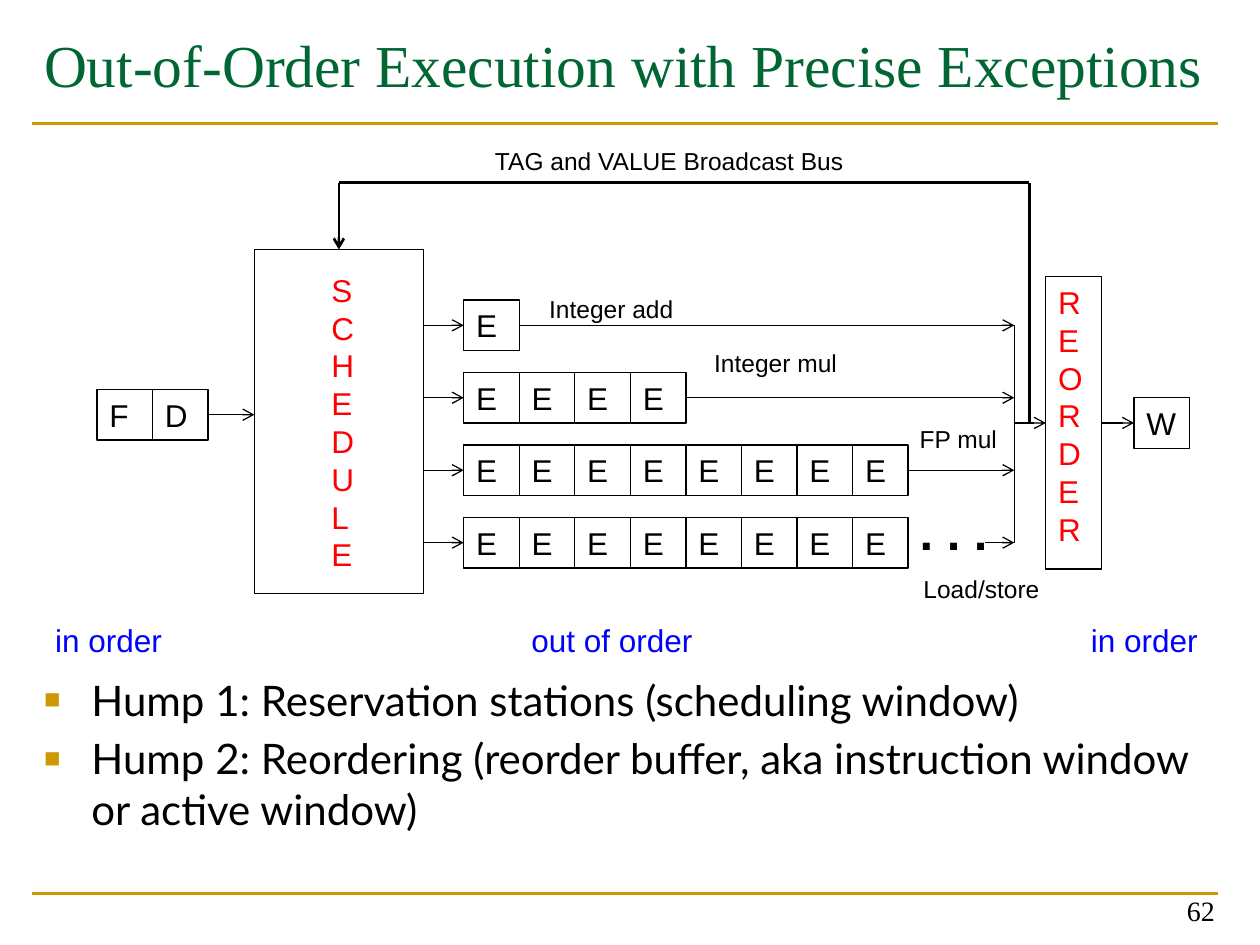
from dataclasses import dataclass
from typing import NamedTuple

from lxml.etree import SubElement
from pptx import Presentation
from pptx.dml.color import RGBColor
from pptx.enum.shapes import MSO_CONNECTOR, MSO_SHAPE
from pptx.enum.text import MSO_ANCHOR, MSO_AUTO_SIZE, PP_ALIGN
from pptx.oxml.ns import qn
from pptx.util import Pt


@dataclass(frozen=True)
class Theme:
    """Colours, fonts and type sizes."""
    black: str = "000000"
    white: str = "FFFFFF"
    gold: str = "CC9900"
    green: str = "006633"
    red: str = "FF0000"
    blue: str = "0000FF"
    serif: str = "Times New Roman"
    sans: str = "Arial"
    body: str = "Lato"
    title_size: float = 34
    dots_size: float = 28
    body_size: float = 24
    cell_size: float = 18
    number_size: float = 16
    label_size: float = 14
    thin: float = 0.75
    thick: float = 1.5


class Box(NamedTuple):
    """A region in points."""
    left: float
    top: float
    width: float
    height: float

    @property
    def right(self):
        """Return the right edge."""
        return self.left + self.width

    @property
    def middle(self):
        """Return the vertical centre."""
        return self.top + self.height / 2

    def inner(self, x, y, width, height):
        """Return a box placed relative to this one."""
        return Box(self.left + x, self.top + y, width, height)


THEME = Theme()
TOP, LEFT, RIGHT = 0, 1, 3
CELL_WIDTH, CELL_HEIGHT, LABEL_HEIGHT = 31.75, 29, 24.5


def points(box):
    """Convert box values to lengths."""
    return [Pt(value) for value in box]


def write(frame, lines, size, color=THEME.black, font=THEME.sans, bold=False):
    """Fill a text frame with one paragraph per line."""
    for index, line in enumerate(lines):
        para = frame.add_paragraph() if index else frame.paragraphs[0]
        para.text = line
        para.alignment = PP_ALIGN.LEFT
        para.font.size = Pt(size)
        para.font.name = font
        para.font.bold = bold
        para.font.color.rgb = RGBColor.from_string(color)


def add_label(page, box, lines, size=THEME.label_size, **style):
    """Add an unwrapped text box."""
    frame = page.shapes.add_textbox(*points(box)).text_frame
    frame.word_wrap = False
    write(frame, lines, size, **style)
    return frame


def add_block(page, box, lines=(), color=THEME.black, anchor=MSO_ANCHOR.MIDDLE):
    """Add an outlined white rectangle."""
    block = page.shapes.add_shape(MSO_SHAPE.RECTANGLE, *points(box))
    block.shadow.inherit = False
    block.fill.solid()
    block.fill.fore_color.rgb = RGBColor.from_string(THEME.white)
    block.line.color.rgb = RGBColor.from_string(THEME.black)
    block.line.width = Pt(THEME.thin)
    block.text_frame.vertical_anchor = anchor
    write(block.text_frame, lines, THEME.cell_size, color)
    return block


def add_line(page, start, end, arrow=False, width=THEME.thin, color=THEME.black,
             source=None, target=None):
    """Add a straight connector, joined to (shape, side) pairs if given."""
    line = page.shapes.add_connector(
        MSO_CONNECTOR.STRAIGHT, *points(start + end))
    line.line.color.rgb = RGBColor.from_string(color)
    line.line.width = Pt(width)
    properties = line._element.spPr
    if arrow:
        SubElement(properties.find(qn("a:ln")), qn("a:tailEnd"), type="arrow")
    SubElement(properties, qn("a:effectLst"))
    if source:
        line.begin_connect(*source)
    if target:
        line.end_connect(*target)


def add_cells(page, box, letters):
    """Place a row of pipeline stages from the left of the box."""
    return [add_block(page, box.inner(index * CELL_WIDTH, 0, CELL_WIDTH, CELL_HEIGHT), [letter])
            for index, letter in enumerate(letters)]


def draw_frame(page, box):
    """Draw the two rules and the page number."""
    for y in (box.top, box.top + box.height):
        add_line(page, (box.left, y), (box.right, y), width=THEME.thick, color=THEME.gold)
    number = add_label(page, box.inner(box.width - 162.7, 427, 167.8, 36), ["62"],
                       THEME.number_size, font=THEME.serif)
    number.word_wrap = True
    number.vertical_anchor = MSO_ANCHOR.BOTTOM
    number.paragraphs[0].alignment = PP_ALIGN.RIGHT


def place_placeholder(holder, box):
    """Move a placeholder and return its frame, anchored at the top."""
    holder.left, holder.top, holder.width, holder.height = points(box)
    frame = holder.text_frame
    frame.auto_size = MSO_AUTO_SIZE.NONE
    frame.vertical_anchor = MSO_ANCHOR.TOP
    return frame


def draw_title(page, box):
    """Fill the title."""
    frame = place_placeholder(page.shapes.title, box)
    write(frame, ["Out-of-Order Execution with Precise Exceptions"],
          THEME.title_size, THEME.green, THEME.serif)


def draw_humps(page, box):
    """Fill the bulleted list."""
    frame = place_placeholder(page.placeholders[1], box)
    lines = ["Hump 1: Reservation stations (scheduling window)",
             "Hump 2: Reordering (reorder buffer, aka instruction window or active window)"]
    for index in range(len(lines)):
        para = frame.add_paragraph() if index else frame.paragraphs[0]
        settings = para._p.get_or_add_pPr()
        settings.set("marL", str(Pt(27)))
        settings.set("indent", str(-Pt(27)))
        SubElement(SubElement(settings, qn("a:buClr")), qn("a:srgbClr"), val=THEME.gold)
        SubElement(settings, qn("a:buSzPct"), val="65000")
        SubElement(settings, qn("a:buFont"), typeface=THEME.sans)
        SubElement(settings, qn("a:buChar"), char="■")
        para.space_before = Pt(4.8 if index else 0)
    for para, line in zip(frame.paragraphs, lines):
        para.text = line
        para.font.size = Pt(THEME.body_size)
        para.font.name = THEME.body
        para.font.color.rgb = RGBColor.from_string(THEME.black)


def draw_scheduler(page, box):
    """Draw the scheduler with its vertical caption."""
    block = add_block(page, box)
    add_label(page, box.inner(36.8, 8.6, 27.4, 182.2), "SCHEDULE", THEME.cell_size, color=THEME.red)
    return block


def draw_units(page, box, feed):
    """Draw the execution units between the feed and result lines."""
    units = [(1, "Integer add", 41.7, -7.2, 85.7), (4, "Integer mul", 136, 23.7, 85),
             (8, "FP mul", 253.4, 67.6, 59), (8, "Load/store", 255.6, 153.3, 80.6)]
    pitch = (box.height - CELL_HEIGHT) / (len(units) - 1)
    first = box.top + CELL_HEIGHT / 2
    last = first + pitch * (len(units) - 1)
    for x in (feed, box.right):
        add_line(page, (x, first), (x, last))
    for row, (count, name, x, y, width) in enumerate(units):
        center = first + row * pitch
        cells = add_cells(page, box.inner(0, row * pitch, box.width, CELL_HEIGHT), "E" * count)
        add_line(page, (feed, center), (box.left, center), True, target=(cells[0], LEFT))
        if center < last:
            add_line(page, (box.left + count * CELL_WIDTH, center), (box.right, center), True,
                     source=(cells[-1], RIGHT))
        add_label(page, box.inner(x, y, width, LABEL_HEIGHT), [name])
    add_label(page, box.inner(253.4, 111.6, 54, 41), [". . ."], THEME.dots_size, bold=True)
    add_line(page, (box.right - 16.5, last), (box.right, last), True)


def draw_broadcast(page, box, scheduler):
    """Draw the bus from the results back to the scheduler."""
    bottom = box.top + box.height
    add_line(page, (box.right, bottom), (box.right, box.top), width=THEME.thick)
    add_line(page, (box.right, box.top), (box.left, box.top), width=THEME.thick)
    add_line(page, (box.left, box.top), (box.left, box.top + 38), True, THEME.thick,
             target=(scheduler, TOP))
    add_label(page, box.inner(82.1, -LABEL_HEIGHT, 214.6, LABEL_HEIGHT), ["TAG and VALUE Broadcast Bus"])


def draw_pipeline(page, box):
    """Draw the whole pipeline and its order captions."""
    front = box.inner(31.4, 142.5, 2 * CELL_WIDTH, CELL_HEIGHT)
    window = box.inner(121.4, 62.6, 96.5, 196.6)
    units = box.inner(241, 91.4, 314.6, 153.2)
    buffer = box.inner(573.6, 78.2, CELL_WIDTH, 167)
    stages = add_cells(page, front, "FD")
    scheduler = draw_scheduler(page, window)
    add_line(page, (front.right, front.middle), (window.left, front.middle), True,
             source=(stages[-1], RIGHT))
    draw_units(page, units, window.right)
    reorder = add_block(page, buffer, "REORDER", THEME.red, MSO_ANCHOR.TOP)
    retire = box.inner(624, buffer.middle - CELL_HEIGHT / 2 - box.top, CELL_WIDTH, CELL_HEIGHT)
    writeback = add_cells(page, retire, "W")[0]
    add_line(page, (units.right, buffer.middle), (buffer.left, buffer.middle), True,
             target=(reorder, LEFT))
    add_line(page, (buffer.right, buffer.middle), (retire.left, buffer.middle), True,
             source=(reorder, RIGHT), target=(writeback, LEFT))
    bus_left = window.left + window.width / 2
    bus = Box(bus_left, box.top + 24.4, 588.2 - bus_left, buffer.middle - box.top - 24.4)
    draw_broadcast(page, bus, scheduler)
    for name, x, width in [("in order", 0.5, 76.3), ("out of order", 272.6, 107.3), ("in order", 592.3, 76.3)]:
        add_label(page, box.inner(x, 271.4, width, 29), [name], THEME.cell_size, color=THEME.blue)


def main():
    """Build and save the deck."""
    deck = Presentation()
    deck.slide_width, deck.slide_height = Pt(720), Pt(540)
    page = deck.slides.add_slide(deck.slide_layouts[1])
    draw_frame(page, Box(18, 70.6, 678.2, 439.9))
    draw_title(page, Box(18, 12.2, 678.2, 84.2))
    draw_humps(page, Box(18, 381.6, 693.4, 105.8))
    draw_pipeline(page, Box(24, 80, 672, 301))
    deck.save("out.pptx")


if __name__ == "__main__":
    main()
